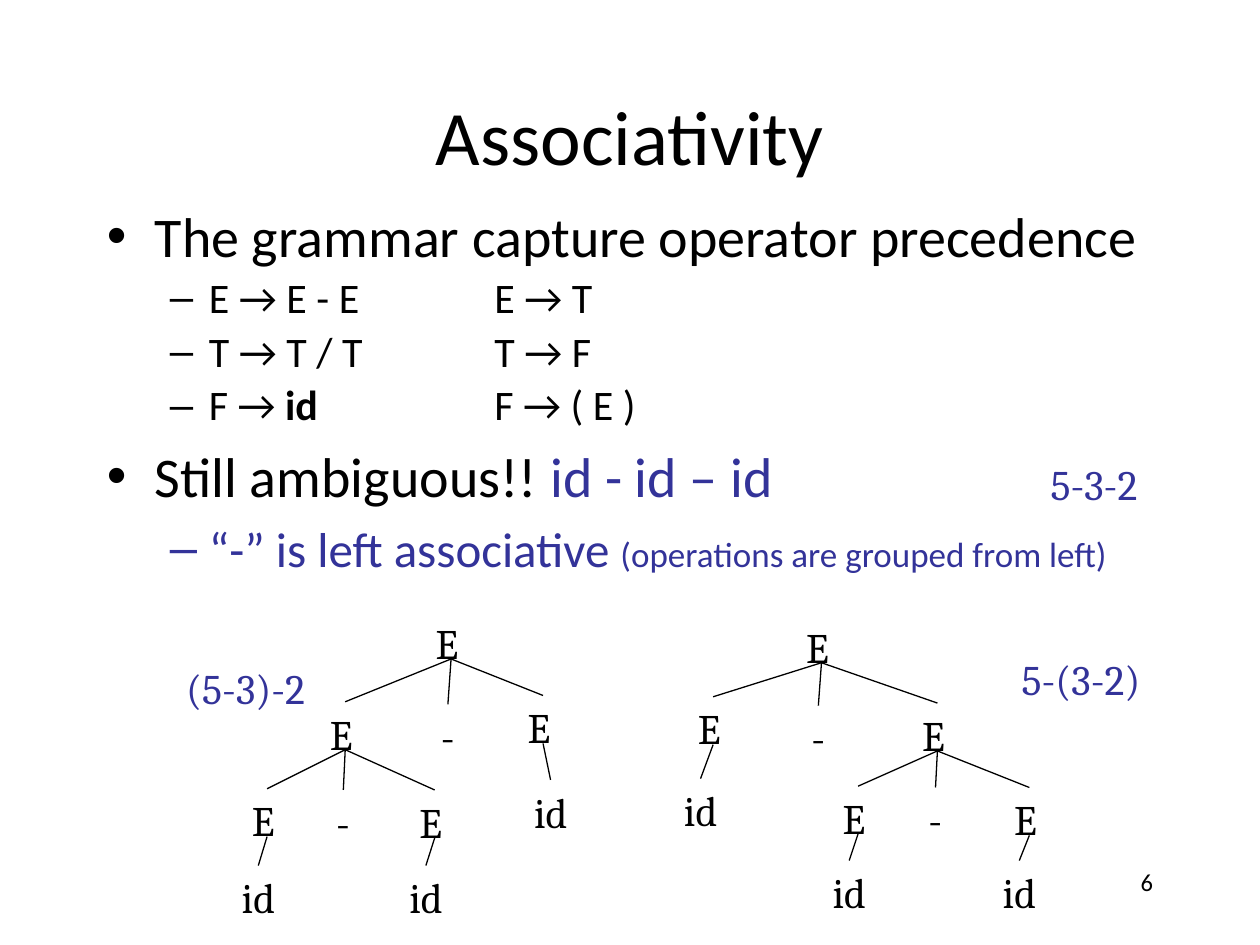
from lxml import etree
from pptx import Presentation
from pptx.dml.color import RGBColor
from pptx.enum.shapes import MSO_CONNECTOR
from pptx.enum.text import MSO_ANCHOR, MSO_AUTO_SIZE, PP_ALIGN
from pptx.oxml.ns import qn
from pptx.util import Emu, Pt

STRAIGHT = MSO_CONNECTOR.STRAIGHT
LEFT, CENTER, RIGHT = PP_ALIGN.LEFT, PP_ALIGN.CENTER, PP_ALIGN.RIGHT
TOP, MIDDLE = MSO_ANCHOR.TOP, MSO_ANCHOR.MIDDLE
GROW = MSO_AUTO_SIZE.SHAPE_TO_FIT_TEXT
BOTTOM_SITE, TOP_SITE = 2, 0

EMU_PER_PX = 9144  # 100 px to the inch
COLORS = {"text": "000000", "accent": "333399"}
NODE_SIZES = {"E": (44, 38), "-": (31, 50), "id": (46, 50)}
# Bullet, text indent and hanging indent of each level
BULLETS = {0: ("•", 38, -38), 1: ("–", 81, -31)}
TAB_STOP = 300

# Each paragraph: level, line spacing, runs of (text, size, color, bold)
BODY = [
    (0, 1.0, [("The grammar capture operator precedence", 32, "text", False)]),
    (1, 0.9, [("E → E - E\t E → T", 24, "text", False)]),
    (1, 0.9, [("T → T / T\t T → F", 24, "text", False)]),
    (1, 0.9, [("F → ", 24, "text", False), ("id", 24, "text", True),
              ("\t F → ( E )", 24, "text", False)]),
    (0, 1.0, [("Still ambiguous!! ", 32, "text", False),
              ("id - id – id", 32, "accent", False)]),
    (1, 1.0, [("“-” is left associative ", 28, "accent", False),
              ("(operations are grouped from left)", 20, "accent", False)]),
]

# Each node: label, left, top, children
RIGHT_TREE = ("E", 630, 488, [
    ("E", 544, 553, [("id", 533, 618, [])]),
    ("-", 634, 560, []),
    ("E", 722, 558, [
        ("E", 659, 624, [("id", 651, 683, [])]),
        ("-", 727, 625, []),
        ("E", 795, 625, [("id", 786, 683, [])]),
    ]),
])
LEFT_TREE = ("E", 336, 485, [
    ("E", 252, 557, [
        ("E", 190, 626, [("id", 182, 687, [])]),
        ("-", 257, 627, []),
        ("E", 323, 627, [("id", 315, 687, [])]),
    ]),
    ("-", 340, 559, []),
    ("E", 409, 552, [("id", 414, 619, [])]),
])
RESULTS = [("5-3-2", 824, 359, 93), ("5-(3-2)", 801, 514, 116),
           ("(5-3)-2", 138, 521, 116)]


def px(value):
    return Emu(value * EMU_PER_PX)


class SlideBuilder:
    heading_font = "Calibri"
    tree_font = "Cambria"

    def __init__(self, slide):
        self.slide = slide

    def style_run(self, run, size, color="text", font=heading_font, bold=False):
        formats = {"name": font, "size": Pt(size), "bold": bold}
        for name, value in formats.items():
            setattr(run.font, name, value)
        run.font.color.rgb = RGBColor.from_string(COLORS[color])

    def text_box(self, box, anchor=TOP, shapes=None):
        shapes = self.slide.shapes if shapes is None else shapes
        shape = shapes.add_textbox(*map(px, box))
        shape.text_frame.word_wrap = True
        shape.text_frame.vertical_anchor = anchor
        return shape

    def text(self, text, box, size, align=LEFT, anchor=TOP):
        paragraph = self.text_box(box, anchor).text_frame.paragraphs[0]
        paragraph.alignment = align
        run = paragraph.add_run()
        run.text = text
        self.style_run(run, size)

    def label(self, text, box, color="text", shapes=None):
        """Add an unwrapped text that sizes its own box."""
        shape = self.text_box(box, shapes=shapes)
        frame = shape.text_frame
        frame.word_wrap = False
        frame.auto_size = GROW
        run = frame.paragraphs[0].add_run()
        run.text = text
        self.style_run(run, 24, color, self.tree_font)
        return shape

    def set_bullet(self, paragraph, level):
        character, indent, hanging = BULLETS[level]
        properties = paragraph._p.get_or_add_pPr()
        properties.set("marL", str(px(indent)))
        properties.set("indent", str(px(hanging)))
        etree.SubElement(properties, qn("a:buFont"), typeface="Arial")
        etree.SubElement(properties, qn("a:buChar"), char=character)
        tabs = etree.SubElement(properties, qn("a:tabLst"))
        etree.SubElement(tabs, qn("a:tab"), pos=str(px(TAB_STOP)), algn="l")

    def bullet_list(self, items, box):
        frame = self.text_box(box).text_frame
        for index, (level, line_spacing, runs) in enumerate(items):
            paragraph = frame.add_paragraph() if index else frame.paragraphs[0]
            self.set_bullet(paragraph, level)
            formats = {"level": level, "line_spacing": line_spacing}
            if index:
                formats["space_before"] = Pt(round(runs[0][1] * 0.2, 1))
            for name, value in formats.items():
                setattr(paragraph, name, value)
            for text, size, color, bold in runs:
                run = paragraph.add_run()
                run.text = text
                self.style_run(run, size, color, bold=bold)

    def edge(self, parent, child, shapes):
        connector = shapes.add_connector(
            STRAIGHT,
            parent.left + parent.width // 2, parent.top + parent.height,
            child.left + child.width // 2, child.top)
        connector.begin_connect(parent, BOTTOM_SITE)
        connector.end_connect(child, TOP_SITE)
        connector.line.width = Pt(0.75)
        connector.line.color.rgb = RGBColor.from_string(COLORS["text"])
        etree.SubElement(connector._element.spPr, qn("a:effectLst"))

    def tree(self, node, shapes=None):
        """Draw a node and its subtree in one group; return the node's shape."""
        if shapes is None:
            shapes = self.slide.shapes.add_group_shape().shapes
        text, left, top, children = node
        parent = self.label(text, (left, top, *NODE_SIZES[text]), shapes=shapes)
        parent.text_frame.margin_right = 0  # grouped boxes keep their width
        for child in children:
            self.edge(parent, self.tree(child, shapes), shapes)
        return parent


def main():
    presentation = Presentation()
    presentation.slide_width, presentation.slide_height = px(1000), px(750)
    slide = presentation.slides.add_slide(presentation.slide_layouts[6])
    builder = SlideBuilder(slide)
    builder.text("Associativity", (75, 44, 850, 125), 44, CENTER, MIDDLE)
    builder.bullet_list(BODY, (75, 155, 905, 450))
    builder.text("6", (717, 683, 208, 50), 14, RIGHT)
    for tree in (RIGHT_TREE, LEFT_TREE):
        builder.tree(tree)
    for text, left, top, width in RESULTS:
        builder.label(text, (left, top, width, 50), "accent")
    presentation.save("out.pptx")


if __name__ == "__main__":
    main()
